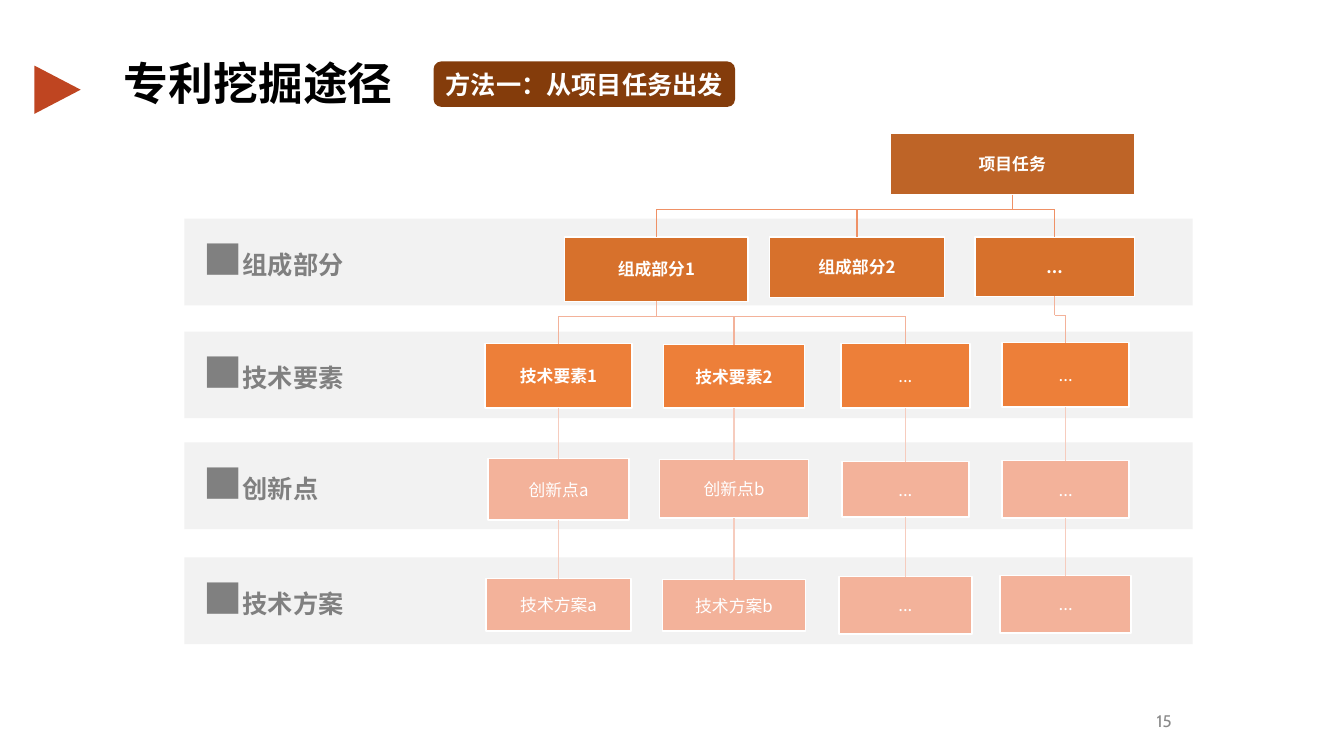
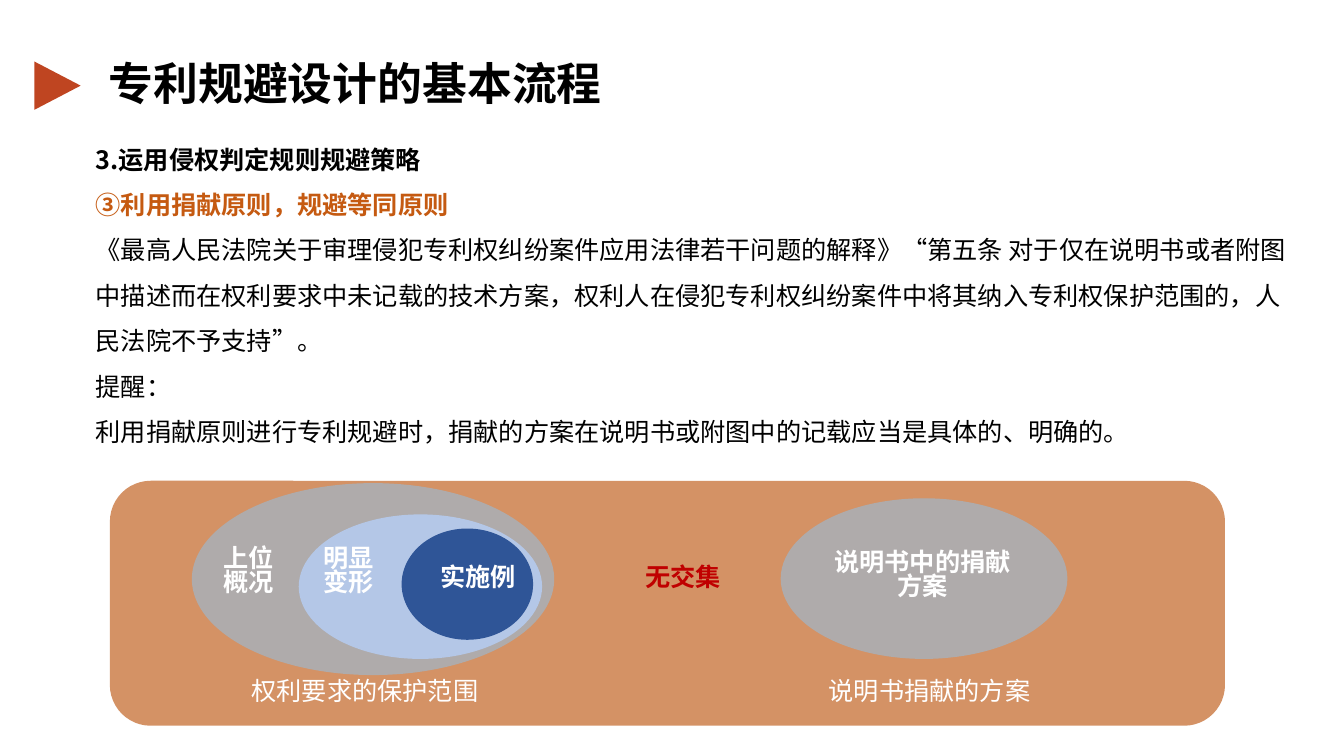
from lxml import etree
from pptx import Presentation
from pptx.dml.color import RGBColor
from pptx.enum.shapes import MSO_CONNECTOR as Link, MSO_SHAPE as Shape
from pptx.enum.text import MSO_ANCHOR as Anchor, PP_ALIGN as Align
from pptx.oxml.ns import qn
from pptx.util import Emu, Pt

PX = 9144  # 100 px to the inch
FONT = "Noto Sans CJK SC"
BOTTOM, TOP = 2, 0

WHITE, BLACK, GRAY = "FFFFFF", "000000", "808080"
MARK, BAND, PILL = "BF4521", "F2F2F2", "843C0B"
ACCENT, ALERT, PANEL = "C55A11", "C00000", "BE5A16"
OUTER, MIDDLE, INNER = "AFABAB", "B4C7E7", "2F5597"

TITLE = {"size": 32, "bold": True}
BODY = {"size": 18}
STRONG = {"size": 18, "bold": True}
WHITE_BODY = BODY | {"color": WHITE}
WHITE_STRONG = STRONG | {"color": WHITE}

# Slide 1: row label, band top
BANDS = [("组成部分", 217), ("技术要素", 329), ("创新点", 439), ("技术方案", 553)]
BAND_LEFT, BAND_WIDTH, BAND_HEIGHT = 183, 1000, 86

# text, centre x, top, width, height
TASK = ("项目任务", 1004, 132, 242, 61)
COMPONENTS = [
    ("组成部分1", 651, 235, 182, 64),
    ("组成部分2", 850, 235, 174, 60),
    ("...", 1046, 235, 158, 59),
]
# parent component, centre x, then (text, top, width, height) down the column
COLUMNS = [
    (0, 554, [("技术要素1", 341, 146, 64), ("创新点a", 455, 140, 61), ("技术方案a", 574, 144, 52)]),
    (0, 728, [("技术要素2", 342, 140, 63), ("创新点b", 456, 148, 58), ("技术方案b", 575, 142, 51)]),
    (0, 898, [("...", 341, 128, 64), ("...", 458, 126, 55), ("...", 572, 132, 57)]),
    (2, 1057, [("...", 340, 126, 64), ("...", 457, 126, 57), ("...", 571, 130, 57)]),
]
LEVEL_FILLS = ["BE6427", "D7712C", "ED7F39", "F3B29A", "F3B29A"]
LEVEL_LINKS = ["EF9166", "F3B29A", "F6CCBE"]
BUS_GAP = 27

# Slide 2: text, format, line spacing
RULES = [
    ("3.运用侵权判定规则规避策略", STRONG, 0.8),
    ("③利用捐献原则，规避等同原则", STRONG | {"color": ACCENT}, 1.5),
    ("《最高人民法院关于审理侵犯专利权纠纷案件应用法律若干问题的解释》“第五条 对于仅在说明书或者"
     "附图中描述而在权利要求中未记载的技术方案，权利人在侵犯专利权纠纷案件中将其纳入专利权保护范围的，"
     "人民法院不予支持”。", BODY, 1.5),
    ("提醒：", BODY, 1.5),
    ("利用捐献原则进行专利规避时，捐献的方案在说明书或附图中的记载应当是具体的、明确的。", BODY, 1.5),
]
SETS = [
    (OUTER, (775, 495, 283, 158)),
    (OUTER, (191, 480, 358, 189)),
    (MIDDLE, (297, 511, 240, 142)),
    (INNER, (399, 525, 129, 109)),
]
SET_LABELS = [
    ("权利要求的保护范围", (140, 671, 444, 34), WHITE_BODY, Align.CENTER),
    ("说明书捐献的方案", (700, 671, 444, 34), WHITE_BODY, Align.CENTER),
    ("说明书中的捐献方案", (816, 543, 198, 76), WHITE_STRONG, Align.CENTER),
    ("上位概况", (212, 539, 85, 73), WHITE_STRONG, Align.LEFT),
    ("明显变形", (311, 539, 85, 73), WHITE_STRONG, Align.LEFT),
    ("实施例", (421, 558, 107, 54), WHITE_STRONG, Align.CENTER),
    ("无交集", (630, 558, 104, 40), STRONG | {"color": ALERT}, Align.LEFT),
]


def rgb(value):
    return RGBColor.from_string(value)


def px(*lengths):
    return [Emu(round(length * PX)) for length in lengths]


def add_run(paragraph, text, size, color=BLACK, bold=False, name=FONT):
    run = paragraph.add_run()
    run.text = text
    run.font.color.rgb = rgb(color)
    for key, value in {"size": Pt(size), "bold": bold, "name": name}.items():
        setattr(run.font, key, value)
    etree.SubElement(run.font._element, qn("a:ea"), typeface=name)


def write(shape, paragraphs, align=Align.LEFT, anchor=Anchor.TOP, wrap=True):
    """Fill a shape with paragraphs, each a list of (text, format) runs and a line spacing."""
    frame = shape.text_frame
    frame.word_wrap, frame.vertical_anchor = wrap, anchor
    for index, (runs, spacing) in enumerate(paragraphs):
        paragraph = frame.add_paragraph() if index else frame.paragraphs[0]
        paragraph.alignment, paragraph.line_spacing = align, spacing
        for text, style in runs:
            add_run(paragraph, text, **style)


def add_text(slide, box, paragraphs, **layout):
    write(slide.shapes.add_textbox(*px(*box)), paragraphs, **layout)


def add_block(slide, kind, box, fill, line=None):
    block = slide.shapes.add_shape(kind, *px(*box))
    block.shadow.inherit = False
    block.fill.solid()
    block.fill.fore_color.rgb = rgb(fill)
    if line:
        block.line.color.rgb = rgb(line)
        block.line.width = Pt(1)
    else:
        block.line.fill.background()
    return block


def add_link(slide, color, start, end, parent=None, child=None):
    link = slide.shapes.add_connector(Link.STRAIGHT, *px(*start, *end))
    link.line.color.rgb = rgb(color)
    link.line.width = Pt(1)
    etree.SubElement(link._element.spPr, qn("a:effectLst"))
    if parent:
        link.begin_connect(parent, BOTTOM)
    if child:
        link.end_connect(child, TOP)


def add_node(slide, level, text, centre, top, width, height):
    box = (centre - width / 2, top, width, height)
    node = add_block(slide, Shape.RECTANGLE, box, LEVEL_FILLS[level], WHITE)
    for side in ("left", "right", "top", "bottom"):
        setattr(node.text_frame, f"margin_{side}", px(1)[0])
    bold = level < 2 or (level == 2 and text != "...")
    style = {"size": 12, "color": WHITE, "bold": bold}
    write(node, [([(text, style)], 1)], Align.CENTER, Anchor.MIDDLE)
    return node


def add_branches(slide, color, parent, children):
    """Join a parent to its children by a trunk, a crossbar and one drop for each child."""
    def centre(node):
        return (node.left + node.width / 2) / PX

    trunk = centre(parent)
    bus = min(child.top for child in children) / PX - BUS_GAP
    ends = [trunk, *map(centre, children)]
    add_link(slide, color, (trunk, bus - 15), (trunk, bus), parent=parent)
    add_link(slide, color, (min(ends), bus), (max(ends), bus))
    for child in children:
        x = centre(child)
        add_link(slide, color, (x, bus), (x, bus + BUS_GAP), child=child)


def new_slide(deck, title, left, mark_top):
    slide = deck.slides.add_slide(deck.slide_layouts[6])
    mark = add_block(slide, Shape.ISOSCELES_TRIANGLE, (33, mark_top, 48, 46), MARK)
    mark.rotation = 90
    add_text(slide, (left, 61, 310 if left > 100 else 667, 53), [([(title, TITLE)], 0.8)])
    return slide


def build_paths(deck):
    slide = new_slide(deck, "专利挖掘途径", 113, 66)
    pill = add_block(slide, Shape.ROUNDED_RECTANGLE, (430, 61, 299, 45), PILL)
    write(pill, [([("方法一：从项目任务出发", WHITE_STRONG)], 1)],
          Align.CENTER, Anchor.MIDDLE, wrap=False)

    for label, top in BANDS:
        add_block(slide, Shape.RECTANGLE, (BAND_LEFT, top, BAND_WIDTH, BAND_HEIGHT), BAND)
        heading = [("■", {"size": 28, "color": GRAY, "bold": True}),
                   (label, STRONG | {"color": GRAY})]
        add_text(slide, (192, top - 3, 217, BAND_HEIGHT), [(heading, 1)], anchor=Anchor.MIDDLE)

    task = add_node(slide, 0, *TASK)
    components = [add_node(slide, 1, *component) for component in COMPONENTS]
    add_branches(slide, LEVEL_LINKS[0], task, components)

    elements = {}
    for parent, centre, steps in COLUMNS:
        column = [add_node(slide, level, text, centre, *place)
                  for level, (text, *place) in enumerate(steps, 2)]
        elements.setdefault(parent, []).append(column[0])
        for upper, lower in zip(column, column[1:]):
            add_link(slide, LEVEL_LINKS[2], (0, 0), (0, 0), upper, lower)
    for parent, children in elements.items():
        add_branches(slide, LEVEL_LINKS[1], components[parent], children)

    number = {"size": 12, "color": "898989", "name": "Cabin"}
    add_text(slide, (872, 695, 300, 40), [([("15", number)], 1)],
             align=Align.RIGHT, anchor=Anchor.MIDDLE)


def build_avoidance(deck):
    slide = new_slide(deck, "专利规避设计的基本流程", 98, 62)
    add_text(slide, (85, 144, 1201, 307),
             [([(text, style)], spacing) for text, style, spacing in RULES])

    panel = add_block(slide, Shape.ROUNDED_RECTANGLE, (109, 477, 1106, 243), PANEL)
    panel_color = panel._element.spPr.find(qn("a:solidFill"))[0]
    etree.SubElement(panel_color, qn("a:alpha"), val="66000")

    for color, box in SETS:
        add_block(slide, Shape.OVAL, box, color, color)
    for text, box, style, align in SET_LABELS:
        add_text(slide, box, [([(text, style)], 0.8)], align=align)


def main():
    deck = Presentation()
    deck.slide_width, deck.slide_height = px(1333, 750)
    build_paths(deck)
    build_avoidance(deck)
    deck.save("out.pptx")


if __name__ == "__main__":
    main()
